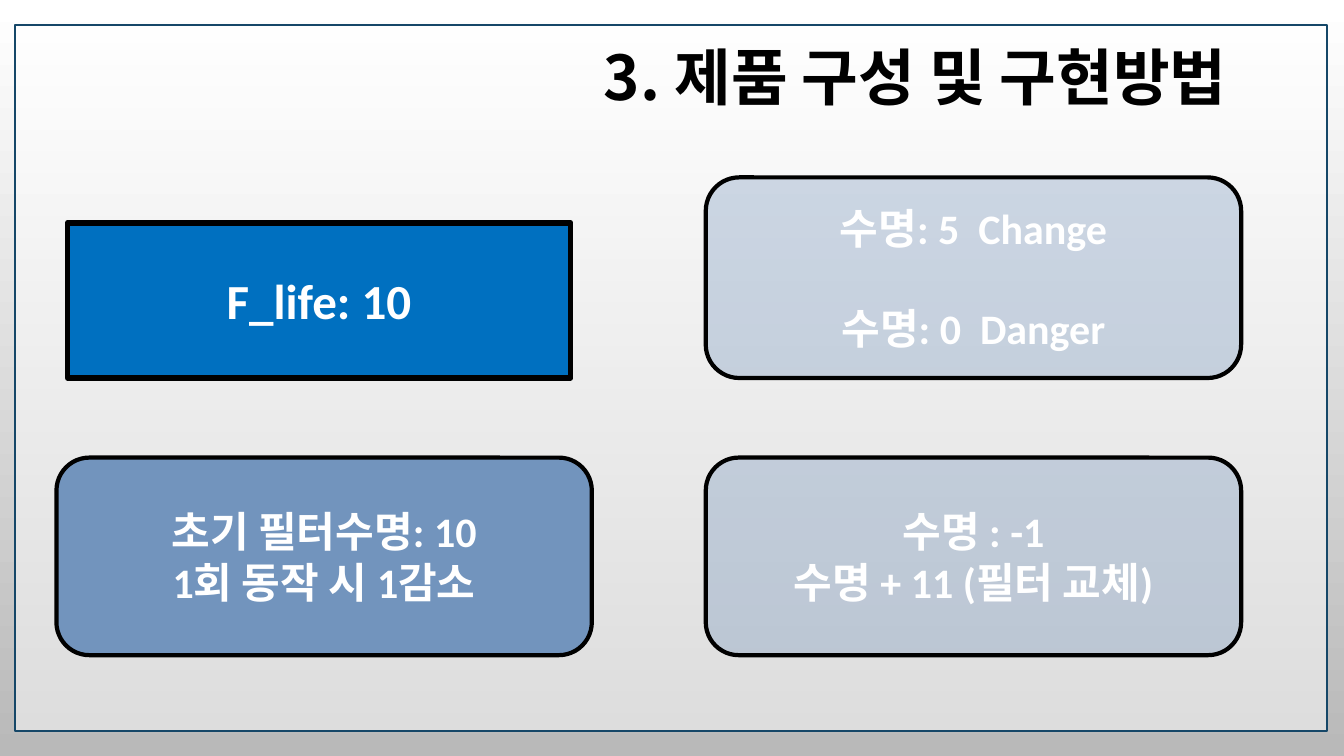
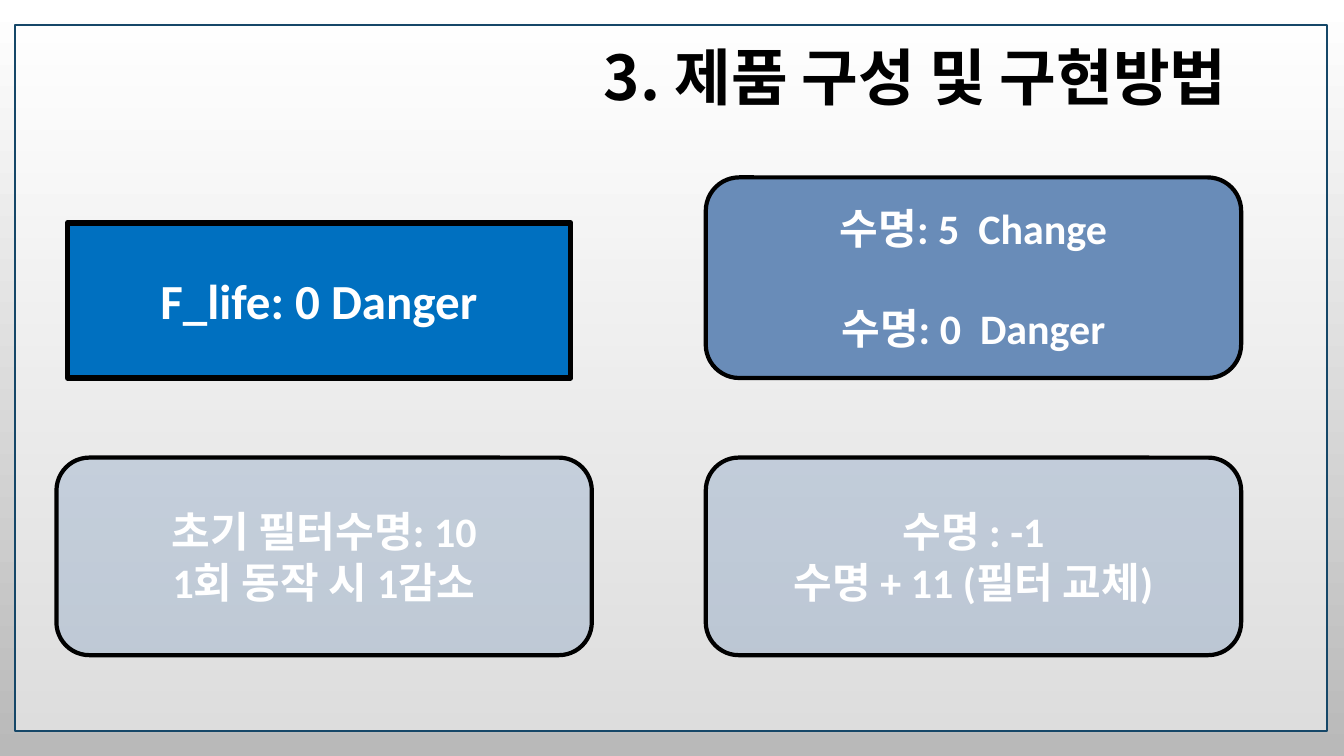
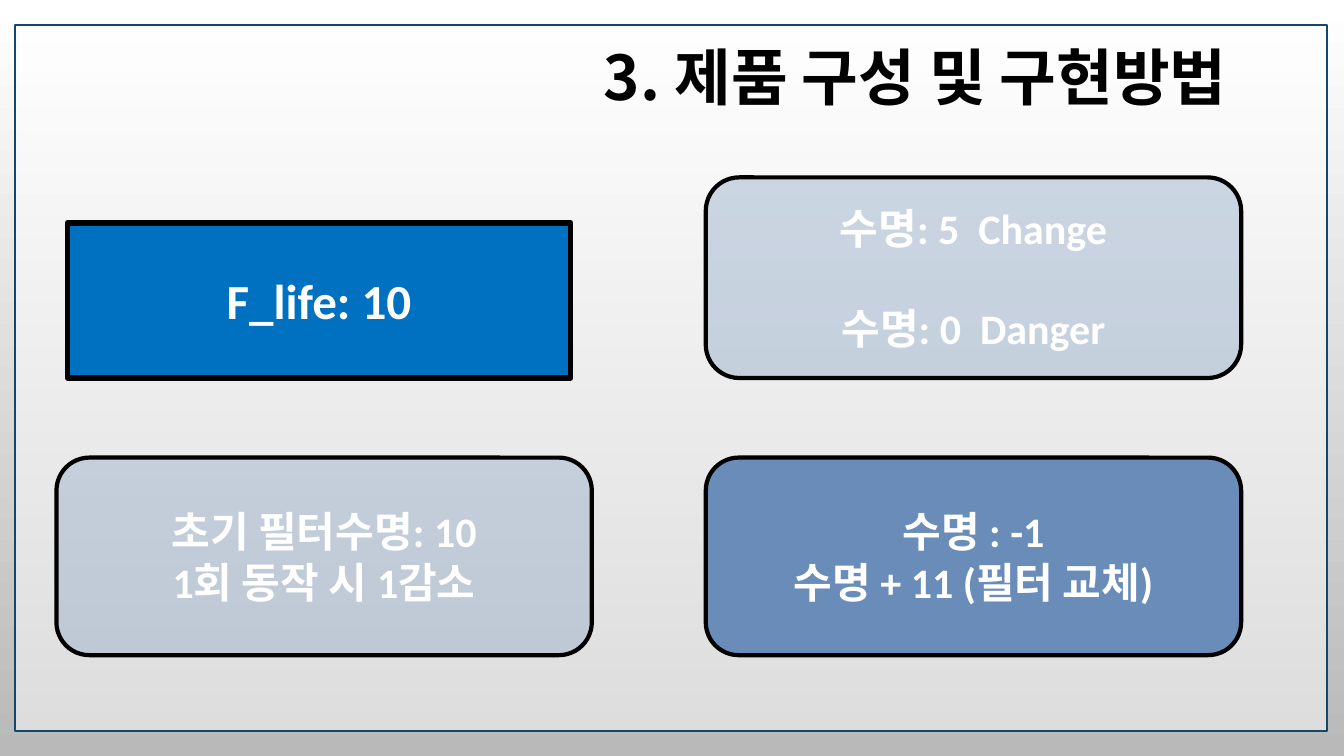
import pptx
import pptx.util
import pptx.dml.color
import pptx.enum.shapes
import pptx.enum.text
import pptx.oxml
import pptx.oxml.ns
import lxml.etree

COLORS = {
    "white": "FFFFFF",
    "black": "000000",
    "backdrop_end": "B9B9B9",
    "frame": "154768",
    "display": "0070C0",
    "start_card": "7294BD",
    "card": "698CB8",
}
TITLE_FONT = "Noto Sans CJK KR"
BODY_FONT = "Calibri"
TITLE = "3. 제품 구성 및 구현방법"
SLIDE_WIDTH, SLIDE_HEIGHT = 13.33, 7.5
LEFT, RIGHT = 0.56, 7
TOP, BOTTOM = 1.76, 4.54
CARD_WIDTH = 5.31
FADED, SOLID = 30, 100

FRAME_BOX = (0.15, 0.25, 13.01, 7)
TITLE_BOX = (5.08, 0.4, 8, 0.8)
DISPLAY_BOX = (0.67, 2.21, 4.99, 1.54)

CARDS = {
    "start": {
        "box": (LEFT, BOTTOM, CARD_WIDTH, 1.96),
        "color": "start_card",
        "lines": ["초기 필터수명: 10", "1회 동작 시 1감소"],
        "gap": 0,
    },
    "replace": {
        "box": (RIGHT, BOTTOM, CARD_WIDTH, 1.96),
        "color": "card",
        "lines": ["수명 : -1", "수명 + 11 (필터 교체)"],
        "gap": 0,
    },
    "warning": {
        "box": (RIGHT, TOP, CARD_WIDTH, 1.99),
        "color": "card",
        "lines": ["수명: 5  Change", "수명: 0  Danger"],
        "gap": 36,
    },
}

SLIDES = [
    ("F_life: 10", "start"),
    ("F_life: 0 Danger", "warning"),
    ("F_life: 10", "replace"),
]


def rgb(name):
    return pptx.dml.color.RGBColor.from_string(COLORS[name])


def inches(box):
    return [pptx.util.Inches(length) for length in box]


def write_lines(shape, lines, size, font_name, color, gap=0):
    frame = shape.text_frame
    frame.word_wrap = True
    frame.vertical_anchor = pptx.enum.text.MSO_ANCHOR.MIDDLE
    frame.text = "\n".join(lines)
    for index, paragraph in enumerate(frame.paragraphs):
        paragraph.alignment = pptx.enum.text.PP_ALIGN.CENTER
        if index and gap:
            paragraph.space_before = pptx.util.Pt(gap)
        for run in paragraph.runs:
            run.font.size = pptx.util.Pt(size)
            run.font.bold = True
            run.font.color.rgb = rgb(color)
            run.font.name = font_name
            east_asian = lxml.etree.SubElement(
                run.font._element, pptx.oxml.ns.qn("a:ea"))
            east_asian.set("typeface", font_name)


def add_panel(slide, kind, box, fill, line, line_width, opacity=SOLID):
    shape = slide.shapes.add_shape(kind, *inches(box))
    shape.shadow.inherit = False
    shape.fill.solid()
    shape.fill.fore_color.rgb = rgb(fill)
    shape.line.color.rgb = rgb(line)
    shape.line.width = pptx.util.Pt(line_width)
    if opacity < SOLID:
        color = shape._element.spPr.find(
            pptx.oxml.ns.qn("a:solidFill"))[0]
        alpha = lxml.etree.SubElement(color, pptx.oxml.ns.qn("a:alpha"))
        alpha.set("val", str(opacity * 1000))
    return shape


def set_backdrop(master):
    fill = master.background.fill
    fill.gradient()
    fill.gradient_angle = 270
    for stop, name in zip(fill.gradient_stops, ("white", "backdrop_end")):
        stop.color.rgb = rgb(name)


def add_title(slide):
    title = slide.shapes.add_textbox(*inches(TITLE_BOX))
    frame = title.text_frame
    frame.margin_top = frame.margin_bottom = 0
    write_lines(title, [TITLE], 44, TITLE_FONT, "black")
    frame.paragraphs[0].line_spacing = 0.9


def build_slide(presentation, reading, active):
    shapes = pptx.enum.shapes.MSO_SHAPE
    slide = presentation.slides.add_slide(presentation.slide_layouts[6])
    add_panel(slide, shapes.RECTANGLE, FRAME_BOX, "white", "frame", 1.25, 50)
    add_title(slide)
    display = add_panel(
        slide, shapes.RECTANGLE, DISPLAY_BOX, "display", "black", 4)
    write_lines(display, [reading], 35, BODY_FONT, "white")
    for name, card in CARDS.items():
        opacity = SOLID if name == active else FADED
        panel = add_panel(slide, shapes.ROUNDED_RECTANGLE, card["box"],
                          card["color"], "black", 3, opacity)
        write_lines(panel, card["lines"], 30, BODY_FONT, "white", card["gap"])


def main():
    presentation = pptx.Presentation()
    presentation.slide_width = pptx.util.Inches(SLIDE_WIDTH)
    presentation.slide_height = pptx.util.Inches(SLIDE_HEIGHT)
    set_backdrop(presentation.slide_master)
    for reading, active in SLIDES:
        build_slide(presentation, reading, active)
    presentation.save("out.pptx")


if __name__ == "__main__":
    main()
